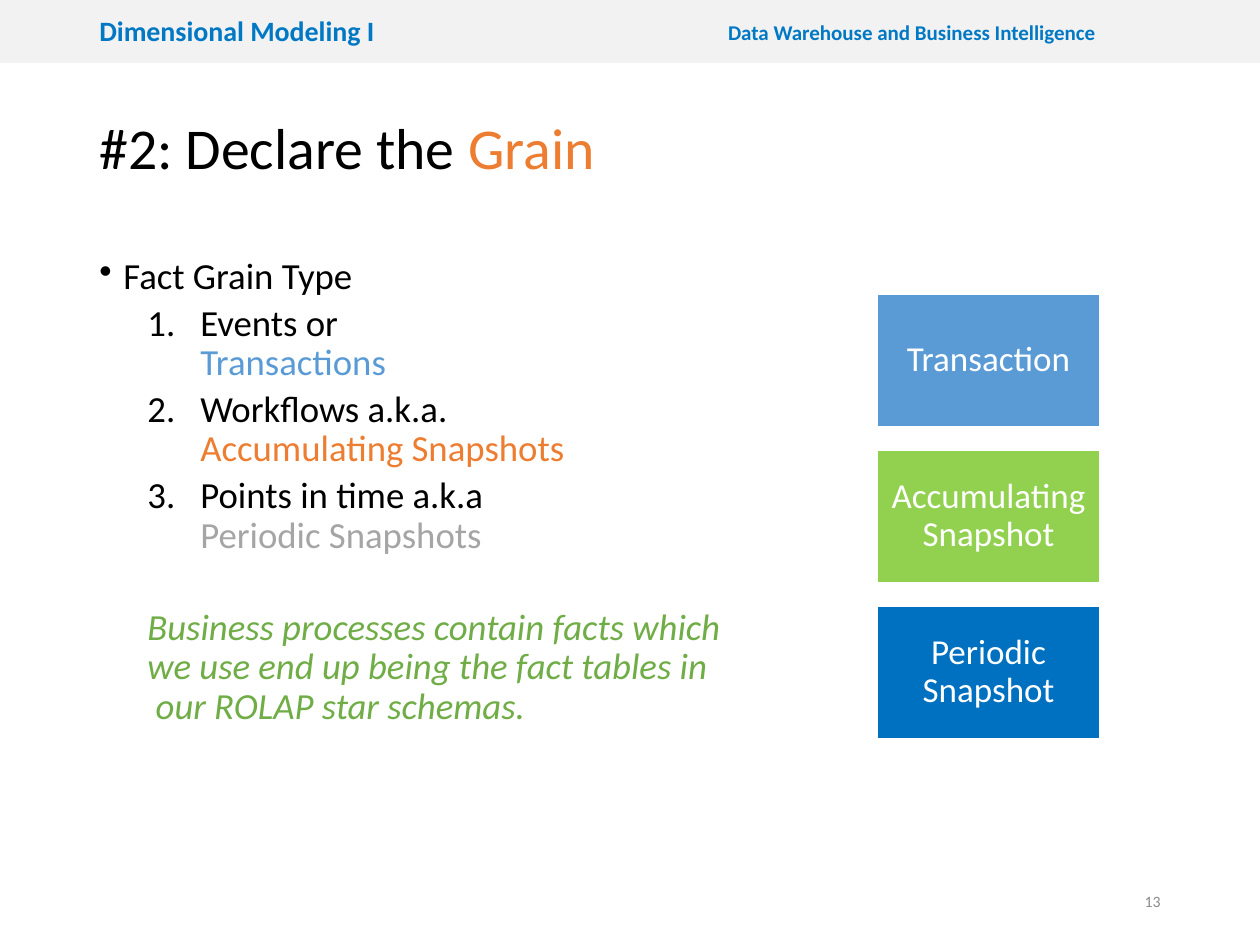
"""Build the "Declare the Grain" slide with its three fact grain types."""
from lxml import etree
from pptx import Presentation
from pptx.dml.color import RGBColor
from pptx.enum.shapes import MSO_SHAPE
from pptx.enum.text import MSO_ANCHOR, PP_ALIGN
from pptx.oxml.ns import qn
from pptx.util import Emu, Pt

THEME = {
    "font": "Calibri",
    "black": "000000", "white": "FFFFFF", "band": "F2F2F2", "header": "0078C4",
    "blue": "5B9BD5", "orange": "ED7D31", "gray": "A5A5A5", "green": "70AD47",
    "lime": "92D050", "deep": "0070C0", "number": "8C8C8C",
    "title_size": 33, "body_size": 21, "box_size": 20,
    "header_size": 16, "course_size": 12, "number_size": 9,
}


def px(n):
    return Emu(round(n * 914400 / 126))


def style(p, size, colors, bold=None, italic=None, align=None, spacing=0.9):
    p.alignment = align
    p.line_spacing = spacing
    for r, color in zip(p.runs, colors):
        r.font.name = THEME["font"]
        r.font.size = Pt(THEME[size])
        r.font.bold = bold
        r.font.italic = italic
        r.font.color.rgb = RGBColor.from_string(THEME[color])


prs = Presentation()
prs.slide_width, prs.slide_height = px(1260), px(945)
s = prs.slides.add_slide(prs.slide_layouts[6])

band = s.shapes.add_shape(MSO_SHAPE.RECTANGLE, 0, 0, px(1260), px(63))
band.shadow.inherit = False
band.fill.solid()
band.fill.fore_color.rgb = RGBColor.from_string(THEME["band"])
band.line.fill.background()

labels = [
    ((714, 13, 396, 38), ["Data Warehouse and Business Intelligence"], "course_size",
     ["header"], True, PP_ALIGN.CENTER, MSO_ANCHOR.TOP, 1.0),
    ((87, 9, 567, 45), ["Dimensional Modeling I"], "header_size",
     ["header"], True, PP_ALIGN.LEFT, MSO_ANCHOR.BOTTOM, 0.9),
    ((87, 69, 1086, 164), ["#2: Declare the ", "Grain"], "title_size",
     ["black", "orange"], None, PP_ALIGN.LEFT, MSO_ANCHOR.MIDDLE, 0.9),
    ((890, 876, 283, 50), ["13"], "number_size",
     ["number"], None, PP_ALIGN.RIGHT, MSO_ANCHOR.MIDDLE, 1.0),
]
for bounds, texts, size, colors, bold, align, anchor, spacing in labels:
    tf = s.shapes.add_textbox(*map(px, bounds)).text_frame
    tf.word_wrap = True
    tf.vertical_anchor = anchor
    p = tf.paragraphs[0]
    for text in texts:
        p.add_run().text = text
    style(p, size, colors, bold, align=align, spacing=spacing)

body = [
    ("Fact Grain Type", ["black"], 0, 24, -24, 7.5, ("a:buChar", "char", "•")),
    *[(text, ["black", color], 1, 101, -53, 3.8, ("a:buAutoNum", "type", "arabicPeriod"))
      for text, color in [("Events or\vTransactions", "blue"),
                          ("Workflows a.k.a.\vAccumulating Snapshots", "orange"),
                          ("Points in time a.k.a\vPeriodic Snapshots", "gray")]],
    ("Business processes contain facts which\vwe use end up being the fact tables in\v"
     " our ROLAP star schemas.", ["green"] * 3, 1, 48, 0, 30, None),
]
tf = s.shapes.add_textbox(*map(px, (87, 252, 1086, 600))).text_frame
tf.word_wrap = True
for i, (text, colors, level, margin, indent, before, bullet) in enumerate(body):
    p = tf.add_paragraph() if i else tf.paragraphs[0]
    p.text = text
    p.level = level
    p.space_before = Pt(before)
    style(p, "body_size", colors, italic=bullet is None or None)
    pPr = p._p.get_or_add_pPr()
    pPr.set("marL", str(px(margin)))
    pPr.set("indent", str(px(indent)))
    if bullet:
        tag, key, value = bullet
        etree.SubElement(pPr, qn(tag)).set(key, value)

boxes = [("Transaction", "blue"), ("Accumulating Snapshot", "lime"), ("Periodic\vSnapshot", "deep")]
for i, (text, color) in enumerate(boxes):
    sp = s.shapes.add_shape(MSO_SHAPE.RECTANGLE, px(877), px(294 + 156 * i), px(223), px(133))
    sp.shadow.inherit = False
    sp.fill.solid()
    sp.fill.fore_color.rgb = RGBColor.from_string(THEME[color])
    sp.line.color.rgb = RGBColor.from_string(THEME["white"])
    sp.line.width = Pt(1)
    tf = sp.text_frame
    tf.word_wrap = True
    tf.vertical_anchor = MSO_ANCHOR.MIDDLE
    tf.margin_left = tf.margin_right = tf.margin_top = tf.margin_bottom = px(10)
    p = tf.paragraphs[0]
    p.text = text
    style(p, "box_size", ["white"] * 2, align=PP_ALIGN.CENTER)

prs.save("out.pptx")
